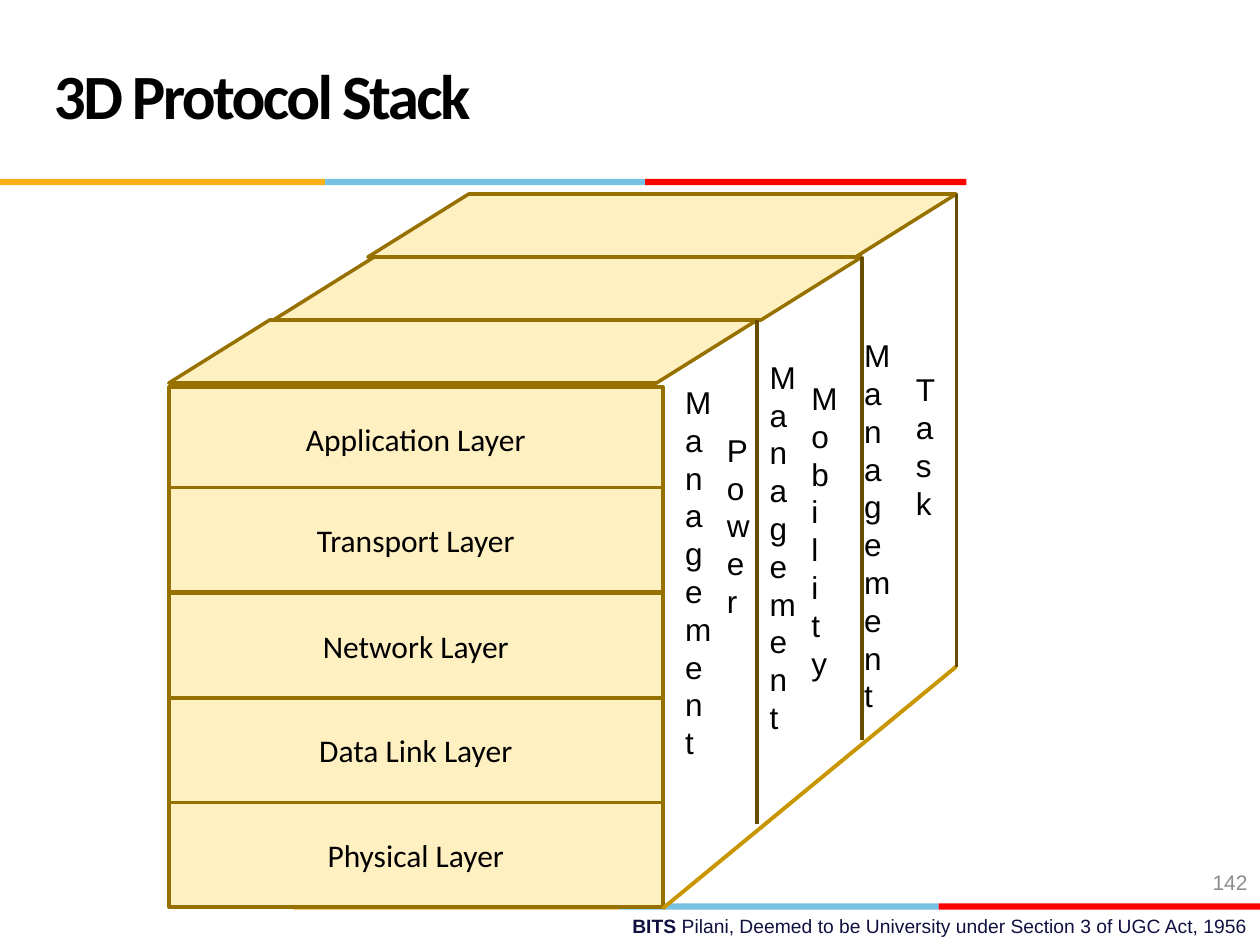
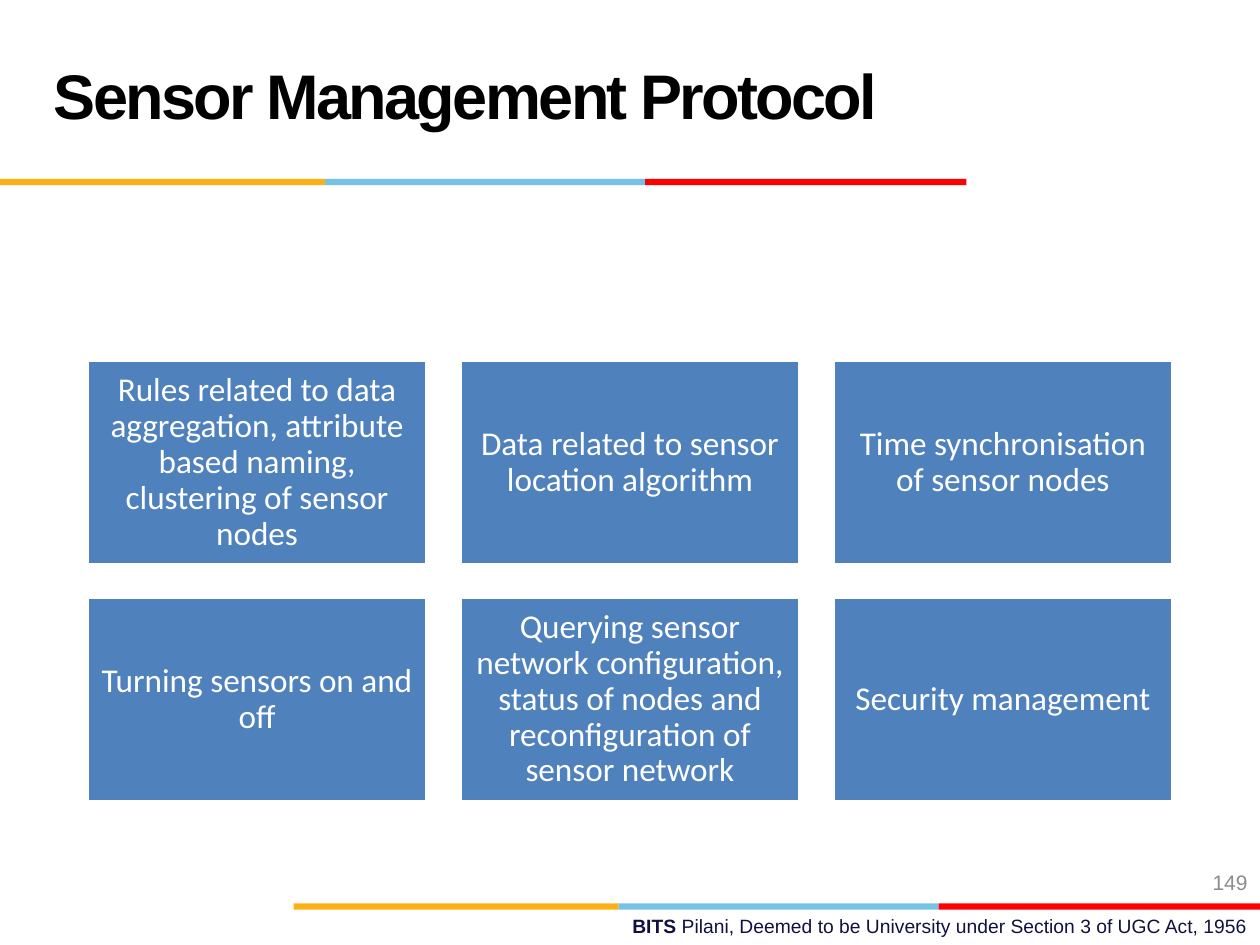
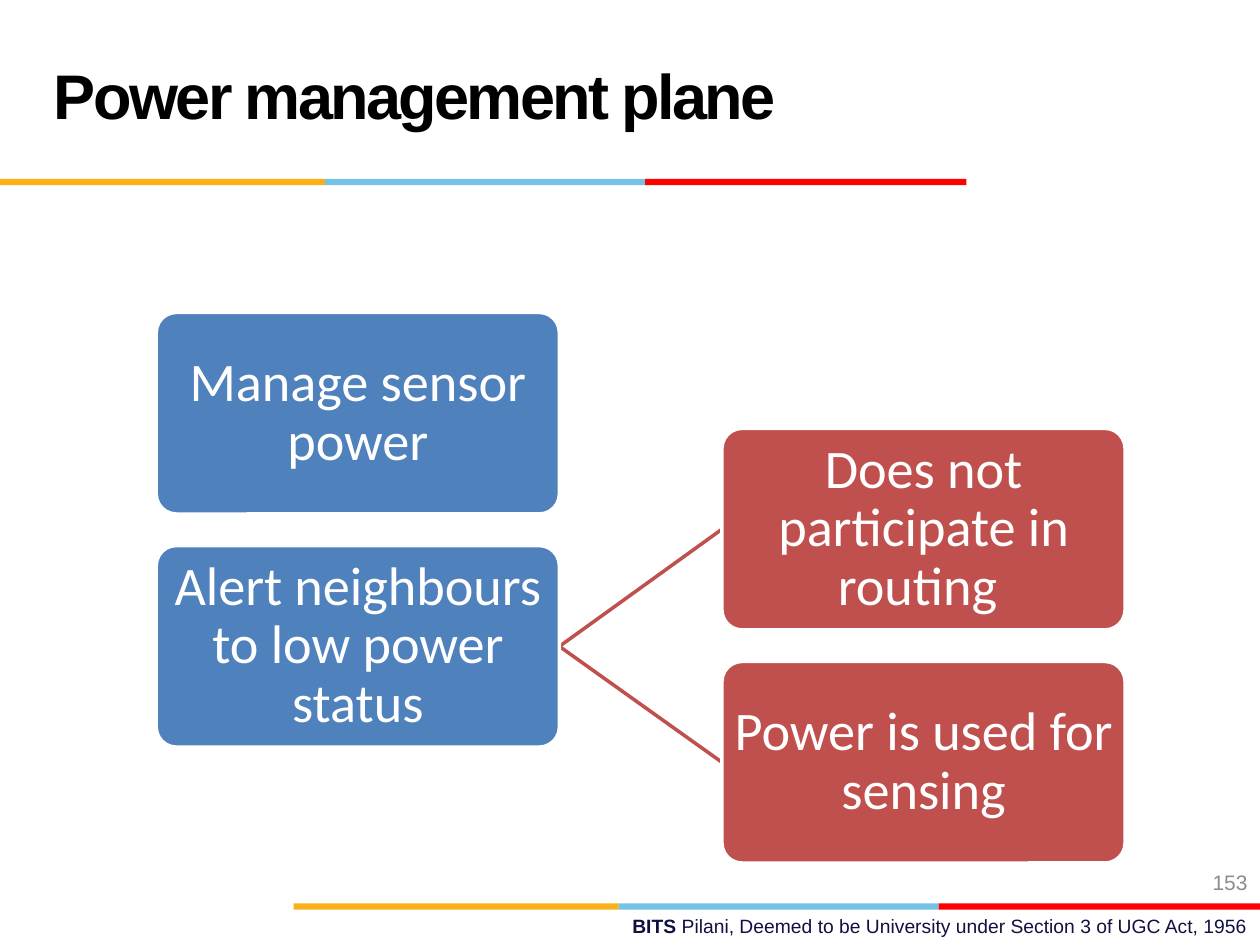
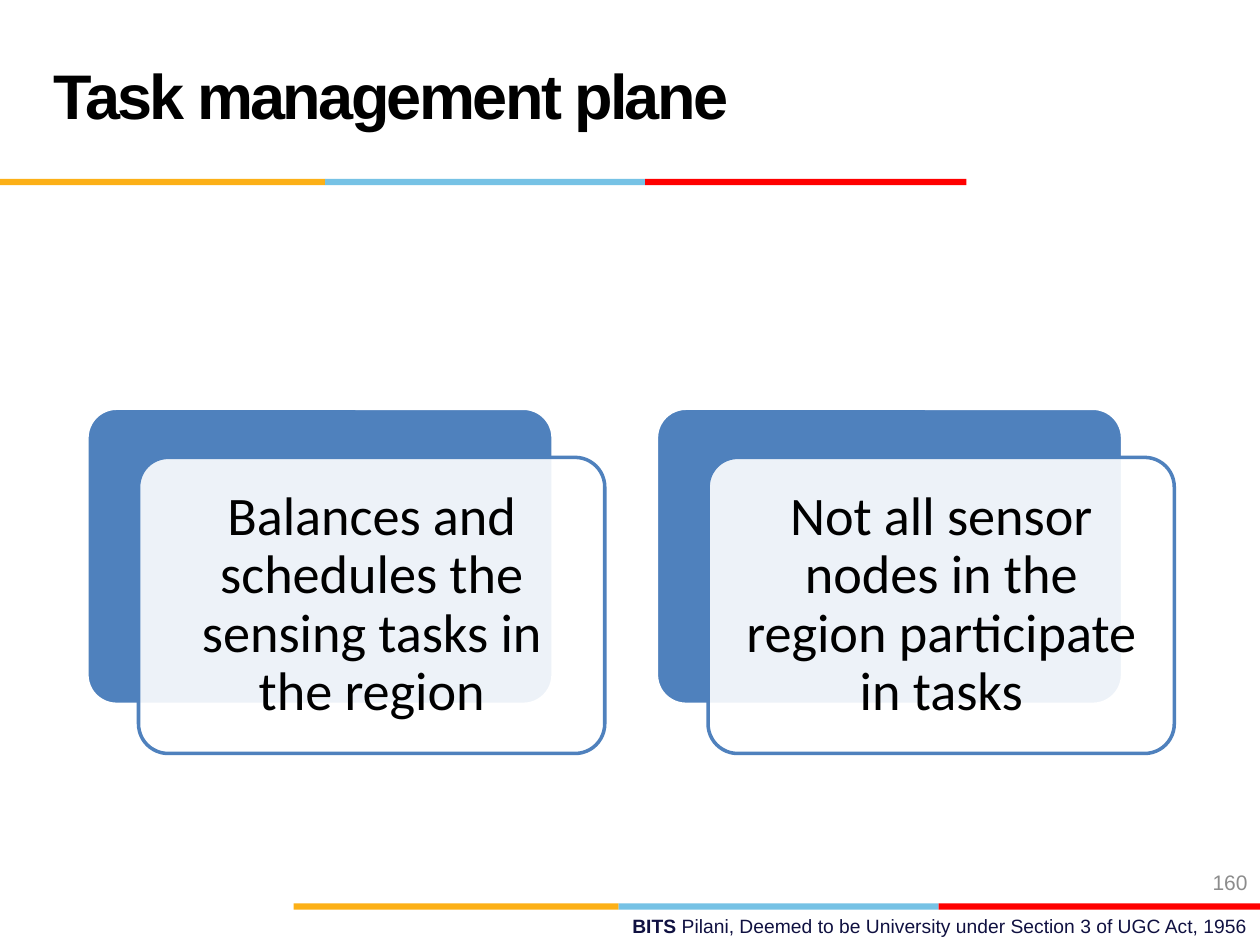
import pptx
import pptx.dml.color
import pptx.enum.shapes
import pptx.enum.text
import pptx.oxml
import pptx.oxml.ns
import pptx.util

Inches = pptx.util.Inches
Pt = pptx.util.Pt
RGBColor = pptx.dml.color.RGBColor
SHAPE = pptx.enum.shapes.MSO_SHAPE
ALIGN = pptx.enum.text.PP_ALIGN
ANCHOR = pptx.enum.text.MSO_ANCHOR

BLACK = RGBColor(0x00, 0x00, 0x00)
WHITE = RGBColor(0xFF, 0xFF, 0xFF)
GREY = RGBColor(0x8C, 0x8C, 0x8C)
NAVY = RGBColor(0x10, 0x11, 0x41)
AMBER = RGBColor(0xFC, 0xB0, 0x17)
SKY = RGBColor(0x76, 0xC2, 0xE5)
RED = RGBColor(0xFF, 0x00, 0x00)
CREAM = RGBColor(0xFF, 0xF0, 0xC2)
BROWN = RGBColor(0x97, 0x71, 0x00)
DARK_BROWN = RGBColor(0x66, 0x4D, 0x00)
GOLD = RGBColor(0xC8, 0x96, 0x00)
BLUE = RGBColor(0x4F, 0x81, 0xBD)
BRICK = RGBColor(0xC0, 0x50, 0x4D)

FOOTER = (("BITS ", True),
          ("Pilani, Deemed to be University under Section 3 of UGC Act, 1956", False))
BAND = ((2.58, AMBER), (2.54, SKY), (2.55, RED))
BAND_STARTS = ((0, 1.42), (2.33, 7.17))

LAYERS = (("Application Layer", 3.07), ("Transport Layer", 3.87), ("Network Layer", 4.71),
          ("Data Link Layer", 5.54), ("Physical Layer", 6.37))
PLANE_TOPS = ((1.34, 2.54), (2.92, 1.54), (2.17, 2.04))
CUBE_EDGES = (((6.01, 2.54), (6.01, 6.54), DARK_BROWN, 2),
              ((6.84, 2.04), (6.84, 5.87), DARK_BROWN, 2),
              ((5.26, 7.21), (7.59, 5.29), GOLD, 2.25),
              ((7.59, 1.54), (7.59, 5.29), DARK_BROWN, 2))
PLANE_WORDS = (("Power", (5.67, 3.37, 0.83, 1.92)),
               ("Management", (5.34, 2.99, 1, 3.13)),
               ("Management", (6.01, 2.79, 1, 3.13)),
               ("Management", (6.76, 2.62, 1, 3.13)),
               ("Mobility", (6.34, 2.96, 1.08, 2.83)),
               ("Task", (7.17, 2.89, 1.25, 1.31)))

SENSOR_RULES = (
    "Rules related to data aggregation, attribute based naming, clustering of sensor nodes",
    "Data related to sensor location algorithm",
    "Time synchronisation of sensor nodes",
    "Turning sensors on and off",
    "Querying sensor network configuration, status of nodes and reconfiguration of sensor network",
    "Security management",
)
POWER_DUTIES = ("Manage sensor power", "Alert neighbours to low power status")
LOW_POWER_EFFECTS = ("Does not participate in routing ", "Power is used for sensing")
TASK_POINTS = ("Balances and schedules the sensing tasks in the region",
               "Not all sensor nodes in the region participate in tasks")


def set_font(paragraph, size, color, face="Calibri", bold=None):
    font = paragraph.font
    font.size, font.name, font.bold = Pt(size), face, bold
    font.color.rgb = color


def add_box(slide, kind, box, fill, line=None, adjust=None):
    """Preset shape without shadow; no line colour means no outline."""
    shape = slide.shapes.add_shape(kind, *map(Inches, box))
    shape.shadow.inherit = False
    shape.fill.solid()
    shape.fill.fore_color.rgb = fill
    if line is None:
        shape.line.fill.background()
    else:
        shape.line.color.rgb = line
        shape.line.width = Pt(2)
    if adjust is not None:
        shape.adjustments[0] = adjust
    return shape


def write_centred(shape, text, size, color, inset, spacing=0.9):
    frame = shape.text_frame
    frame.word_wrap = True
    frame.vertical_anchor = ANCHOR.MIDDLE
    frame.margin_left = frame.margin_right = Inches(inset)
    frame.margin_top = frame.margin_bottom = Inches(inset)
    paragraph = frame.paragraphs[0]
    paragraph.text = text
    paragraph.alignment = ALIGN.CENTER
    paragraph.line_spacing = spacing
    set_font(paragraph, size, color)


def add_text(slide, box, anchor=ANCHOR.TOP):
    frame = slide.shapes.add_textbox(*map(Inches, box)).text_frame
    frame.word_wrap = True
    frame.vertical_anchor = anchor
    return frame


def add_line(slide, start, end, color, width):
    line = slide.shapes.add_connector(pptx.enum.shapes.MSO_CONNECTOR.STRAIGHT,
                                      *map(Inches, start + end))
    line.line.color.rgb = color
    line.line.width = Pt(width)
    properties = line._element.find(pptx.oxml.ns.qn("p:spPr"))
    properties.append(pptx.oxml.parse_xml(
        "<a:effectLst %s/>" % pptx.oxml.ns.nsdecls("a")))


def start_slide(deck, title, number, title_face="Arial"):
    """New slide with the shared bands, footer, title and page number."""
    slide = deck.slides.add_slide(deck.slide_layouts[6])
    for left, top in BAND_STARTS:
        for width, color in BAND:
            add_box(slide, SHAPE.RECTANGLE, (left, top, width, 0.05), color)
            left += width

    footer = add_text(slide, (3.58, 7.21, 6.42, 0.29)).paragraphs[0]
    footer.alignment = ALIGN.RIGHT
    for text, bold in FOOTER:
        run = footer.add_run()
        run.text = text
        run.font.bold = bold
    set_font(footer, 11, NAVY, "Arial")

    heading = add_text(slide, (0.33, 0.17, 6.92, 1.25), ANCHOR.MIDDLE).paragraphs[0]
    heading.text = title
    heading.line_spacing = Pt(36)
    set_font(heading, 36, BLACK, title_face, True)
    heading.runs[0]._r.get_or_add_rPr().set("spc", "-150")

    page = add_text(slide, (7.67, 6.8, 2.33, 0.4), ANCHOR.MIDDLE).paragraphs[0]
    page.text = number
    page.alignment = ALIGN.RIGHT
    set_font(page, 12, GREY, "Arial")
    return slide


def draw_protocol_stack(slide):
    for layer, top in LAYERS:
        block = add_box(slide, SHAPE.RECTANGLE, (1.34, top, 3.92, 0.83), CREAM, BROWN)
        write_centred(block, layer, 18, BLACK, 0.05, 1)
    for left, top in PLANE_TOPS:
        add_box(slide, SHAPE.PARALLELOGRAM, (left, top, 4.67, 0.5), CREAM, BROWN, 1.6)
    for edge in CUBE_EDGES:
        add_line(slide, *edge)
    for word, box in PLANE_WORDS:
        column = add_text(slide, box)
        column.text = "\n".join(word)
        for letter in column.paragraphs:
            set_font(letter, 18, BLACK, "Arial")


def draw_sensor_rules(slide):
    width, height, gap = 2.7, 1.62, 0.26
    for index, rule in enumerate(SENSOR_RULES):
        row, column = divmod(index, 3)
        box = (0.69 + column * (width + gap), 2.86 + row * (height + gap), width, height)
        tile = add_box(slide, SHAPE.RECTANGLE, box, BLUE, WHITE)
        write_centred(tile, rule, 19, WHITE, 0.08)


def draw_power_plane(slide):
    width, height, pitch = 3.2, 1.6, 1.85
    duty_left, duty_top = 1.24, 2.48
    effect_left, effect_top = 5.73, 3.4
    fork = (duty_left + width, duty_top + pitch + height / 2)
    for row in range(len(LOW_POWER_EFFECTS)):
        target = (effect_left, effect_top + row * pitch + height / 2)
        add_line(slide, fork, target, BRICK, 2)
    for texts, left, top, color in ((POWER_DUTIES, duty_left, duty_top, BLUE),
                                    (LOW_POWER_EFFECTS, effect_left, effect_top, BRICK)):
        for row, text in enumerate(texts):
            card = add_box(slide, SHAPE.ROUNDED_RECTANGLE,
                           (left, top + row * pitch, width, height), color, WHITE, 0.1)
            write_centred(card, text, 31, WHITE, 0.02)


def draw_task_plane(slide):
    width, height = 3.7, 2.35
    for column, point in enumerate(TASK_POINTS):
        left = 0.69 + column * 4.52
        add_box(slide, SHAPE.ROUNDED_RECTANGLE, (left, 3.24, width, height), BLUE, WHITE, 0.1)
        card = add_box(slide, SHAPE.ROUNDED_RECTANGLE,
                       (left + 0.41, 3.63, width, height), WHITE, BLUE, 0.1)
        tint = card._element.spPr.find(pptx.oxml.ns.qn("a:solidFill"))[0]
        tint.append(pptx.oxml.parse_xml(
            '<a:alpha %s val="90000"/>' % pptx.oxml.ns.nsdecls("a")))
        write_centred(card, point, 31, BLACK, 0.13)


def main():
    deck = pptx.Presentation()
    deck.slide_width, deck.slide_height = Inches(10), Inches(7.5)
    draw_protocol_stack(start_slide(deck, "3D Protocol Stack", "142", "Calibri"))
    draw_sensor_rules(start_slide(deck, "Sensor Management Protocol", "149"))
    draw_power_plane(start_slide(deck, "Power management plane", "153"))
    draw_task_plane(start_slide(deck, "Task management plane", "160"))
    deck.save("out.pptx")


if __name__ == "__main__":
    main()
